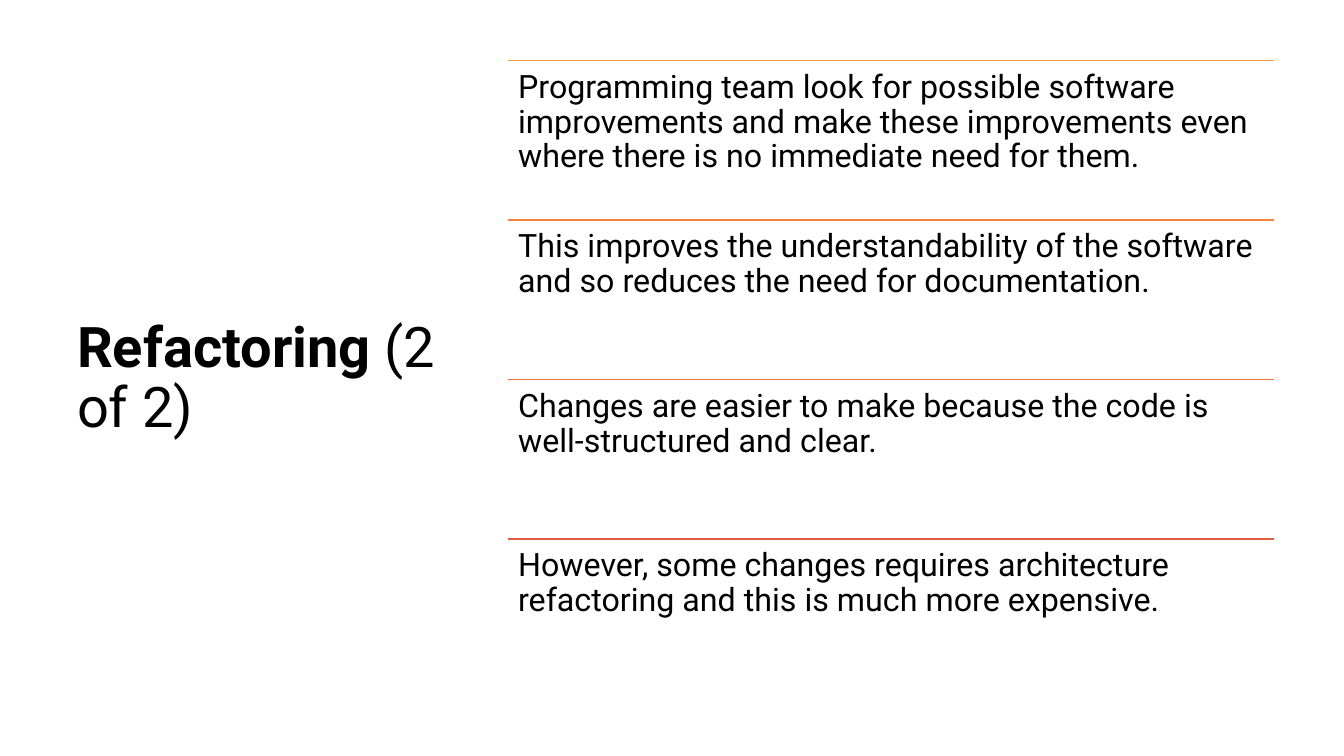
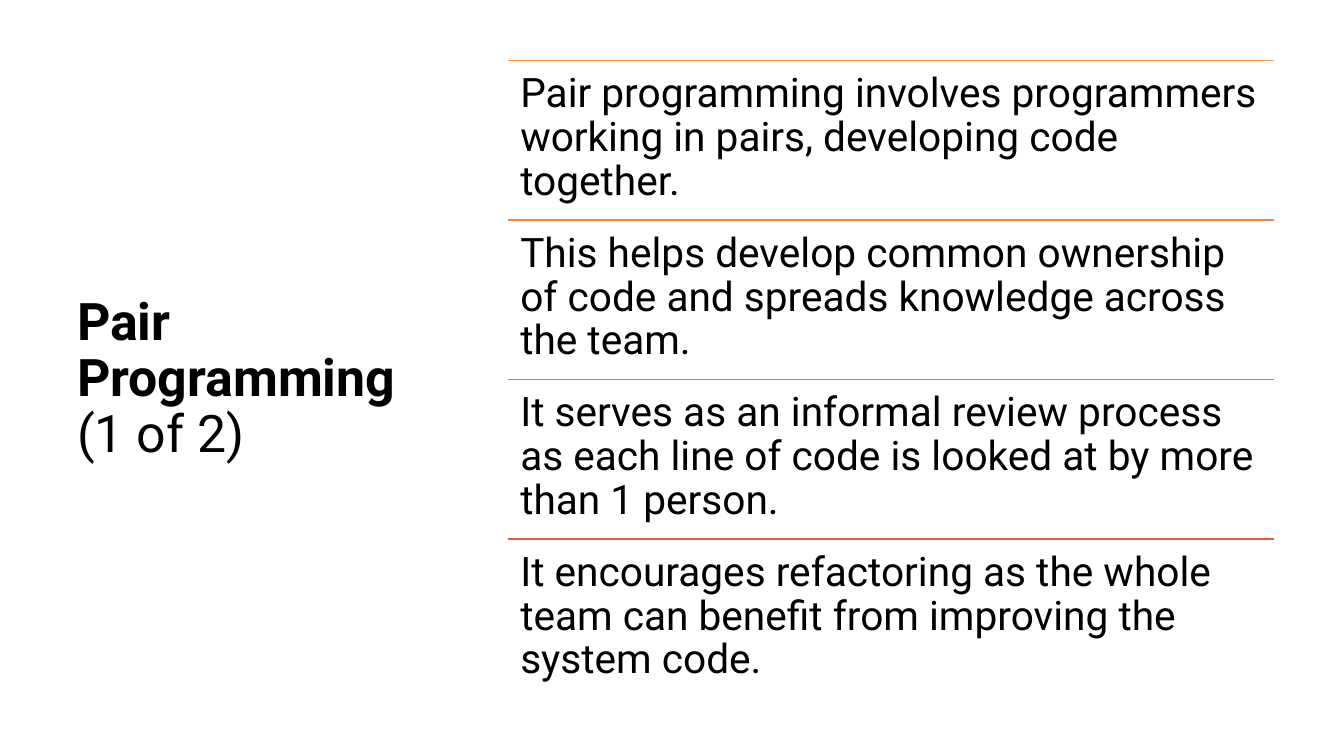
from lxml.etree import SubElement as Sub
from pptx import Presentation
from pptx.dml.color import RGBColor as Rgb
from pptx.enum.shapes import MSO_CONNECTOR as Link
from pptx.enum.text import MSO_ANCHOR as Anchor
from pptx.oxml.ns import qn
from pptx.util import Inches, Pt

WIDE, HIGH = 13.33, 7.5
TOP, TALL = 0.6, 6.33
SIDE = (0.05 * WIDE, TOP, 3.82, TALL)
BODY = (5.04, TOP, 0.57 * WIDE, TALL)
FONT = "Roboto"
INK = {"text": "000000", "back": "FFFFFF"}
RULES = {"amber": "FA9A42", "orange": "F28440", "coral": "EA6F3E", "red": "E15C3D"}

SLIDES = [
    {
        "title": ("Refactoring ", "(2 of 2)"), "head": 40, "size": 23, "pad": 0.1,
        "points": [
            "Programming team look for possible software improvements and make "
            "these improvements even where there is no immediate need for them.",
            "This improves the understandability of the software and so reduces "
            "the need for documentation.",
            "Changes are easier to make because the code is well-structured and clear.",
            "However, some changes requires architecture refactoring and this is "
            "much more expensive.",
        ],
    },
    {
        "title": ("Pair Programming ", "(1 of 2)"), "head": 37, "size": 29, "pad": 0.12,
        "points": [
            "Pair programming involves programmers working in pairs, developing "
            "code together.",
            "This helps develop common ownership of code and spreads knowledge "
            "across the team.",
            "It serves as an informal review process as each line of code is "
            "looked at by more than 1 person.",
            "It encourages refactoring as the whole team can benefit from "
            "improving the system code.",
        ],
    },
]


def add_text(slide, box, size, runs, pad, anchor=Anchor.TOP):
    """Place one paragraph of (text, bold) runs in a box."""
    frame = slide.shapes.add_textbox(*map(Inches, box)).text_frame
    frame.word_wrap = True
    frame.vertical_anchor = anchor
    frame.margin_left = frame.margin_right = Inches(pad)
    frame.margin_top = frame.margin_bottom = Inches(pad)
    para = frame.paragraphs[0]
    para.line_spacing = 0.9
    para.font.name, para.font.size = FONT, Pt(size)
    para.font.color.rgb = Rgb.from_string(INK["text"])
    for text, bold in runs:
        run = para.add_run()
        run.text, run.font.bold = text, bold


def add_rule(slide, left, top, width, color):
    """Draw a thin level line."""
    ends = map(Inches, (left, top, left + width, top))
    rule = slide.shapes.add_connector(Link.STRAIGHT, *ends)
    rule.line.color.rgb = Rgb.from_string(color)
    rule.line.width = Pt(1)
    Sub(rule._element.spPr, qn("a:effectLst"))


def add_title(slide, box, title, size):
    """Set the topic in bold and its part number in plain type."""
    topic, part = title
    add_text(slide, box, size, [(topic, True), (part, False)], 0.1, Anchor.MIDDLE)


def add_list(slide, box, points, size, pad):
    """Split the box into equal rows, each a rule above its text."""
    left, top, width, height = box
    row = height / len(points)
    for i, (point, color) in enumerate(zip(points, RULES.values())):
        y = top + i * row
        add_rule(slide, left, y, width, color)
        add_text(slide, (left, y, width, row), size, [(point, False)], pad)


def main():
    """Build and save the deck."""
    deck = Presentation()
    deck.slide_width, deck.slide_height = Inches(WIDE), Inches(HIGH)
    for data in SLIDES:
        slide = deck.slides.add_slide(deck.slide_layouts[6])
        fill = slide.background.fill
        fill.solid()
        fill.fore_color.rgb = Rgb.from_string(INK["back"])
        add_title(slide, SIDE, data["title"], data["head"])
        add_list(slide, BODY, data["points"], data["size"], data["pad"])
    deck.save("out.pptx")


if __name__ == "__main__":
    main()
